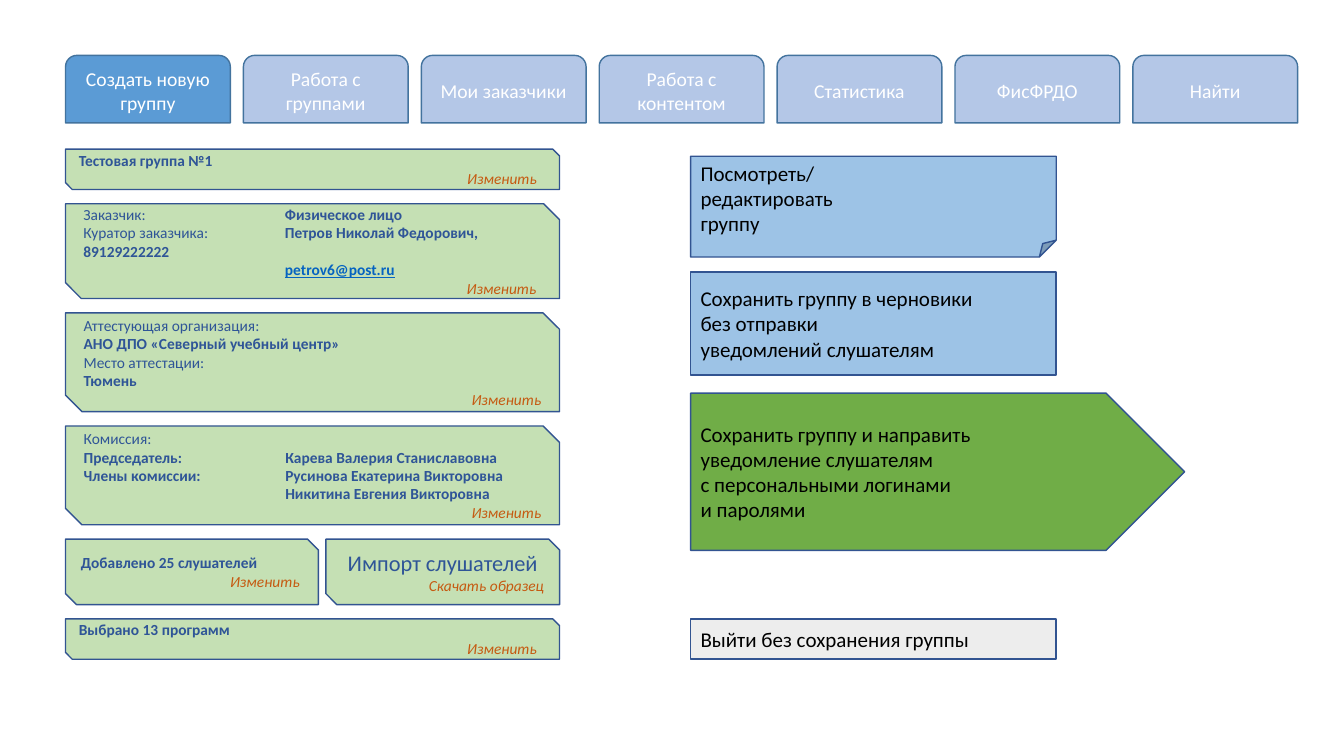
import pptx
import pptx.util
import pptx.dml.color
import pptx.enum.shapes
import pptx.enum.text
import pptx.oxml.ns
from lxml import etree

Inches = pptx.util.Inches
Form = pptx.enum.shapes.MSO_SHAPE
Align = pptx.enum.text.PP_ALIGN

HUES = {
    "active": "5B9BD5", "idle": "B4C7E7", "rim": "43739E", "edge": "325491",
    "card": "C5E0B4", "sky": "9DC3E6", "green": "70AD47", "gray": "EDEDED",
    "navy": "2F5597", "rust": "C55A11", "mail": "0563C1",
    "white": "FFFFFF", "black": "000000",
}
LOOKS = {
    "plain": dict(hue="navy"),
    "bold": dict(hue="navy", bold=True),
    "head": dict(hue="navy", size=16, align=Align.CENTER),
    "edit": dict(hue="rust", italic=True, align=Align.RIGHT),
    "mail": dict(hue="mail", bold=True, under=True),
    "tab": dict(hue="white", size=14, align=Align.CENTER),
    "act": dict(hue="black", size=15),
}
STOP = 2.0
EDIT = [("edit", "Изменить")]

TABS = ["Создать новую группу", "Работа с группами", "Мои заказчики",
        "Работа с контентом", "Статистика", "ФисФРДО", "Найти"]

GROUP = [[("bold", "Тестовая группа №1")], EDIT]
CLIENT = [
    [("plain", "Заказчик:\t"), ("bold", "Физическое лицо")],
    [("plain", "Куратор заказчика:\t"), ("bold", "Петров Николай Федорович,")],
    [("bold", "89129222222")],
    [("bold", "\t"), ("mail", "petrov6@post.ru")],
    EDIT,
]
PLACE = [
    [("plain", "Аттестующая организация:")],
    [("bold", "АНО ДПО «Северный учебный центр»")],
    [("plain", "Место аттестации:")],
    [("bold", "Тюмень")],
    EDIT,
]
BOARD = [
    [("plain", "Комиссия:")],
    [("bold", "Председатель:\tКарева Валерия Станиславовна")],
    [("bold", "Члены комиссии:\tРусинова Екатерина Викторовна")],
    [("bold", "\tНикитина Евгения Викторовна")],
    EDIT,
]
ADDED = [[("bold", "Добавлено 25 слушателей")], EDIT]
IMPORT = [[("head", "Импорт слушателей")], [("edit", "Скачать образец")]]
CHOSEN = [[("bold", "Выбрано 13 программ")], EDIT]

CARDS = [
    (0.40, [(0, 1, 0.09, GROUP)]),
    (0.94, [(0, 1, 0.05, CLIENT)]),
    (0.98, [(0, 1, 0, PLACE)]),
    (0.98, [(0, 1, 0, BOARD)]),
    (0.65, [(0, 0.512, 0.03, ADDED), (0.527, 0.473, 0, IMPORT)]),
    (0.40, [(0, 1, 0.09, CHOSEN)]),
]
ACTS = [
    (Form.FOLDED_CORNER, "sky", 0, 0.74, 1.0,
     ["Посмотреть/", "редактировать", "группу"]),
    (Form.RECTANGLE, "sky", 1.15, 0.74, 1.02,
     ["Сохранить группу в черновики", "без отправки",
      "уведомлений слушателям"]),
    (Form.PENTAGON, "green", 2.35, 1, 1.56,
     ["Сохранить группу и направить", "уведомление слушателям",
      "с персональными логинами", "и паролями"]),
    (Form.RECTANGLE, "gray", 4.59, 0.74, 0.4,
     ["Выйти без сохранения группы"]),
]


def color(name):
    return pptx.dml.color.RGBColor.from_string(HUES[name])


def style(font, look):
    font.color.rgb = color(look["hue"])
    font.bold = look.get("bold", False)
    font.italic = look.get("italic", False)
    font.underline = look.get("under", False)


def write(para, runs):
    first = LOOKS[runs[0][0]]
    para.alignment = first.get("align", Align.LEFT)
    if any("\t" in text for _, text in runs):
        name = pptx.oxml.ns.qn
        tabs = etree.SubElement(para._p.get_or_add_pPr(), name("a:tabLst"))
        etree.SubElement(tabs, name("a:tab"), pos=str(Inches(STOP)), algn="l")
    para.font.name = "Calibri"
    para.font.size = pptx.util.Pt(first.get("size", 11))
    if len(runs) == 1:
        style(para.font, first)
    for look, text in runs:
        run = para.add_run()
        run.text = text
        if len(runs) > 1:
            style(run.font, LOOKS[look])


def block(slide, form, box, fill, line, rows, pad=0):
    shape = slide.shapes.add_shape(form, *[Inches(part) for part in box])
    shape.shadow.inherit = False
    shape.fill.solid()
    shape.fill.fore_color.rgb = color(fill)
    shape.line.color.rgb = color(line)
    shape.line.width = pptx.util.Pt(1)
    frame = shape.text_frame
    frame.word_wrap = True
    frame.vertical_anchor = pptx.enum.text.MSO_ANCHOR.MIDDLE
    frame.margin_right = Inches(0.1 + pad)
    for index, runs in enumerate(rows):
        para = frame.add_paragraph() if index else frame.paragraphs[0]
        write(para, runs)


def menu(slide, box):
    left, top, width, height = box
    gap = 0.13
    step = (width + gap) / len(TABS)
    for index, text in enumerate(TABS):
        block(slide, Form.ROUND_2_SAME_RECTANGLE,
              (left + index * step, top, step - gap, height),
              "idle" if index else "active", "rim", [[("tab", text)]])


def cards(slide, box):
    left, top, width, height = box
    gap = (height - sum(tall for tall, _ in CARDS)) / (len(CARDS) - 1)
    for tall, parts in CARDS:
        for start, share, pad, rows in parts:
            block(slide, Form.SNIP_2_DIAG_RECTANGLE,
                  (left + start * width, top, share * width, tall),
                  "card", "edge", rows, pad)
        top += tall + gap


def acts(slide, box):
    left, top, width, _ = box
    for form, fill, drop, share, tall, lines in ACTS:
        block(slide, form, (left, top + drop, share * width, tall),
              fill, "edge", [[("act", line)] for line in lines])


def main():
    deck = pptx.Presentation()
    deck.slide_width, deck.slide_height = Inches(13.33), Inches(7.5)
    slide = deck.slides.add_slide(deck.slide_layouts[6])
    menu(slide, (0.65, 0.55, 12.22, 0.67))
    cards(slide, (0.65, 1.48, 4.9, 5.06))
    acts(slide, (6.85, 1.55, 4.9, 4.99))
    deck.save("out.pptx")


if __name__ == "__main__":
    main()
